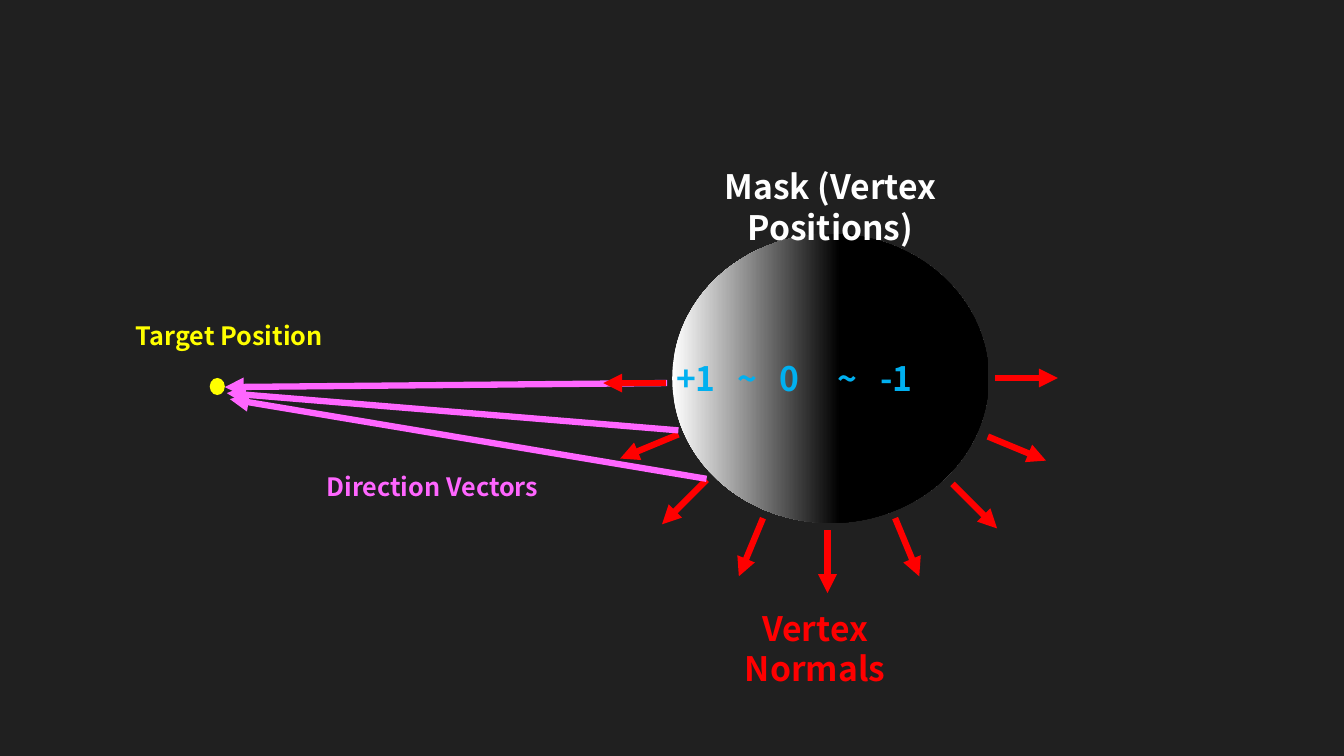
import math

from lxml import etree
from pptx import Presentation
from pptx.dml.color import RGBColor
from pptx.enum import shapes, text
from pptx.oxml.ns import qn
from pptx.util import Pt

FONT = "Noto Sans CJK KR"
WHITE, BLACK, BACKGROUND = "FFFFFF", "000000", "202020"
RED, PINK, YELLOW, BLUE = "FF0000", "FF66FF", "FFFF00", "00B0F0"

# Tail and tip of each vector from the sphere to the target
DIRECTIONS = [
    ((476.6, 273.6), (160.6, 276.5)),
    ((484.6, 307.4), (162, 280.8)),
    ((504.7, 342), (164.2, 285.1)),
]

# Tails of the normals, clockwise from the right of the sphere to its left
NORMAL_TAILS = [
    (710.6, 270), (705.6, 311.8), (680.4, 345.6), (639.4, 370.1), (591.1, 378.7),
    (545, 370.1), (504.7, 342.7), (484.6, 310.3), (475.9, 273.6),
]
NORMAL_LENGTH = 45


def color(value):
    """Turn a hex string into a colour."""
    return RGBColor.from_string(value)


def add_ellipse(s, left, top, width, height):
    """Add an ellipse without outline or shadow."""
    sp = s.shapes.add_shape(shapes.MSO_SHAPE.OVAL, Pt(left), Pt(top), Pt(width), Pt(height))
    sp.shadow.inherit = False
    sp.line.fill.background()
    return sp


def add_sphere(s):
    """Add the sphere, shaded from white at the left to black past the middle."""
    sp = add_ellipse(s, 480.2, 167, 226.1, 206.6)
    sp.fill.gradient()
    sp.fill.gradient_angle = 0
    for stop, (position, value) in zip(sp.fill.gradient_stops, [(0, WHITE), (0.53, BLACK)]):
        stop.position = position
        stop.color.rgb = color(value)


def add_target(s):
    """Add the dot at the target position."""
    sp = add_ellipse(s, 149.8, 270, 10.8, 12.2)
    sp.fill.solid()
    sp.fill.fore_color.rgb = color(YELLOW)


def add_arrow(s, tail, tip, value):
    """Add a thick straight arrow from tail to tip."""
    line = s.shapes.add_connector(
        shapes.MSO_CONNECTOR.STRAIGHT, *(Pt(v) for v in (*tail, *tip)))
    line.line.width = Pt(4.5)
    line.line.color.rgb = color(value)
    etree.SubElement(line.line._get_or_add_ln(), qn("a:tailEnd"), type="triangle")
    etree.SubElement(line._element.spPr, qn("a:effectLst"))


def add_label(s, words, left, top, width, size, value, align=text.PP_ALIGN.LEFT):
    """Add a bold label and return its paragraph."""
    box = s.shapes.add_textbox(Pt(left), Pt(top), Pt(width), Pt(1.2 * size + 7.2))
    tf = box.text_frame
    tf.word_wrap = True
    tf.auto_size = text.MSO_AUTO_SIZE.SHAPE_TO_FIT_TEXT
    p = tf.paragraphs[0]
    p.text = words
    p.alignment = align
    p.font.name = FONT
    p.font.size = Pt(size)
    p.font.bold = True
    p.font.color.rgb = color(value)
    return p


def set_tabs(p, positions):
    """Give a paragraph left tab stops."""
    tabs = etree.Element(qn("a:tabLst"))
    for position in positions:
        etree.SubElement(tabs, qn("a:tab"), pos=str(Pt(position)), algn="l")
    p._p.pPr.find(qn("a:defRPr")).addprevious(tabs)


def add_normals(s):
    """Add the vertex normals, turned by equal steps over half a circle."""
    step = math.pi / (len(NORMAL_TAILS) - 1)
    for i, (x, y) in enumerate(NORMAL_TAILS):
        tip = (x + NORMAL_LENGTH * math.cos(i * step), y + NORMAL_LENGTH * math.sin(i * step))
        add_arrow(s, (x, y), tip, RED)


def main():
    """Build the slide and save it."""
    prs = Presentation()
    prs.slide_width, prs.slide_height = Pt(960), Pt(540)
    s = prs.slides.add_slide(prs.slide_layouts[6])
    s.background.fill.solid()
    s.background.fill.fore_color.rgb = color(BACKGROUND)

    center = text.PP_ALIGN.CENTER
    add_arrow(s, *DIRECTIONS[0], PINK)
    add_sphere(s)
    add_target(s)
    add_label(s, "Target Position", 90, 225.4, 163.4, 18, YELLOW)
    add_label(s, "Mask (Vertex Positions)", 451.4, 115.2, 283.7, 24, WHITE, center)
    scale = add_label(s, "+1\t~\t0\t~\t-1", 475.9, 252, 252, 24, BLUE)
    set_tabs(scale, [43.5, 74, 115.5, 146])
    add_normals(s)
    add_label(s, "Vertex Normals", 484.6, 430.6, 195.1, 24, RED, center)
    for tail, tip in DIRECTIONS[1:]:
        add_arrow(s, tail, tip, PINK)
    add_label(s, "Direction Vectors", 226.1, 333.4, 166.3, 18, PINK)
    prs.save("out.pptx")


main()
